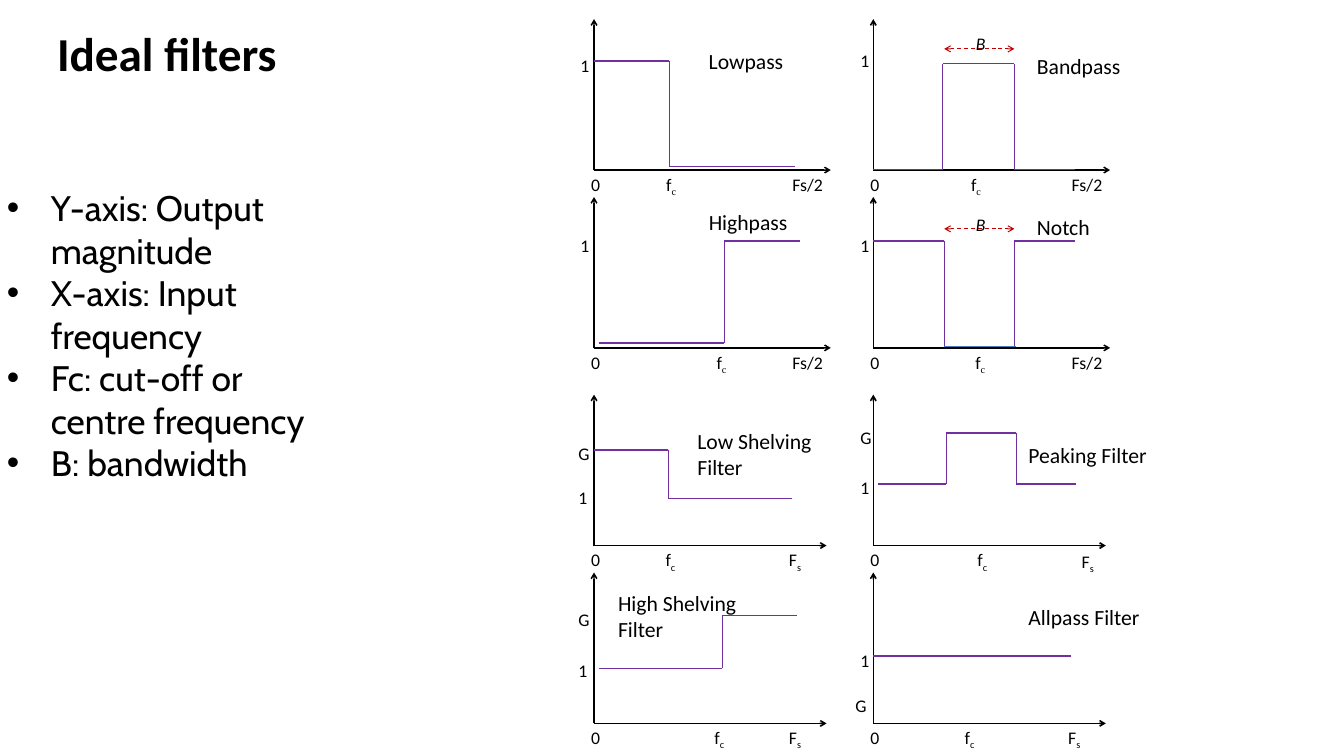
from dataclasses import dataclass

from lxml import etree
from pptx import Presentation
from pptx.dml.color import RGBColor
from pptx.enum.dml import MSO_LINE
from pptx.enum.shapes import MSO_CONNECTOR
from pptx.enum.text import MSO_ANCHOR, MSO_AUTO_SIZE, PP_ALIGN
from pptx.oxml.ns import qn
from pptx.util import Inches, Pt

STRAIGHT = MSO_CONNECTOR.STRAIGHT
DASH = MSO_LINE.DASH
MIDDLE = MSO_ANCHOR.MIDDLE
FIT = MSO_AUTO_SIZE.SHAPE_TO_FIT_TEXT
CENTER = PP_ALIGN.CENTER

COLORS = {"ink": "000000", "curve": "7030A0", "floor": "4B7EBC", "band": "C00000"}
WIDTHS = {"0": 0.33, "1": 0.33, "G": 0.36, "f": 0.35, "F": 0.38, "Fs/2": 0.64, "B": 0.34}
SANS, SERIF, BODY = "Calibri", "Times New Roman", "Cabin"
LEFT, RIGHT = 8.38, 12.32
ROWS = (2.4, 4.91, 7.7, 10.21)
RISE = 2.13
POINTS = [
    "Y-axis: Output magnitude",
    "X-axis: Input frequency",
    "Fc: cut-off or centre frequency",
    "B: bandwidth",
]

Point = tuple[float, float]


@dataclass
class Name:
    text: str
    x: float
    y: float
    width: float
    height: float = 0.47
    wrap: bool = False


@dataclass
class Plot:
    """One filter graph; levels are (text, left, top) of the marks on the y-axis."""
    x: float
    y: float
    name: Name
    curve: list[Point]
    levels: list[tuple[str, float, float]]
    cutoff: float
    end: float
    drop: float = 0
    band: float | None = None
    band_top: float = 0

    @property
    def shelf(self) -> bool:
        return self.y > ROWS[1]


PLOTS = [
    Plot(LEFT, ROWS[0], Name("Lowpass", 9.9, 0.62, 1.26),
         [(8.38, 0.86), (9.44, 0.86), (9.44, 2.35), (11.22, 2.35)],
         [("1", 8.09, 0.72)], 9.3, 11.08),
    Plot(RIGHT, ROWS[0], Name("Bandpass", 14.53, 0.69, 1.39),
         [(12.32, 2.39), (13.3, 2.39), (13.3, 0.9), (14.31, 0.9), (14.31, 2.39), (15.17, 2.39)],
         [("1", 12.04, 0.65)], 13.6, 15.02, band=0.69, band_top=0.41),
    Plot(LEFT, ROWS[1], Name("Highpass", 9.9, 2.9, 1.32),
         [(8.45, 4.84), (10.22, 4.84), (10.22, 3.4), (11.29, 3.4)],
         [("1", 8.09, 3.27)], 10.01, 11.08),
    Plot(RIGHT, ROWS[1], Name("Notch", 14.53, 2.97, 0.96),
         [(12.32, 3.4), (13.32, 3.4), (13.32, 4.89), (14.31, 4.89), (14.31, 3.4), (15.17, 3.4)],
         [("1", 12.04, 3.27)], 13.66, 15.02, band=3.23, band_top=2.97),
    Plot(LEFT, ROWS[2], Name("Low Shelving Filter", 9.74, 5.99, 1.92, 0.84, True),
         [(8.38, 6.35), (9.43, 6.35), (9.43, 7.04), (11.17, 7.04)],
         [("1", 8.06, 6.82), ("G", 8.06, 6.2)], 9.29, 11.03),
    Plot(RIGHT, ROWS[2], Name("Peaking Filter", 14.41, 6.19, 1.89),
         [(12.39, 6.83), (13.35, 6.83), (13.35, 6.11), (14.34, 6.11), (14.34, 6.83), (15.18, 6.83)],
         [("1", 12.04, 6.68), ("G", 12.04, 5.97)], 13.69, 15.16, drop=0.02),
    Plot(LEFT, ROWS[3], Name("High Shelving Filter", 8.62, 8.27, 1.99, 0.84, True),
         [(8.45, 9.43), (10.19, 9.43), (10.19, 8.69), (11.24, 8.69)],
         [("1", 8.06, 9.26), ("G", 8.06, 8.55)], 9.98, 11.03),
    Plot(RIGHT, ROWS[3], Name("Allpass Filter", 14.41, 8.47, 1.79),
         [(12.32, 9.26), (15.11, 9.26)],
         [("1", 12.04, 9.12), ("G", 11.97, 9.76)], 13.51, 14.97),
]


def add_line(slide, start: Point, stop: Point, color: str, width: float,
             ends: tuple[str, ...] = (), dashed: bool = False) -> None:
    """Draw a line with arrowheads at the given ends (headEnd, tailEnd)."""
    line = slide.shapes.add_connector(STRAIGHT, *(Inches(v) for v in start + stop))
    line.line.color.rgb = RGBColor.from_string(COLORS[color])
    line.line.width = Pt(width)
    if dashed:
        line.line.dash_style = DASH
    for end in ends:
        etree.SubElement(line.line._get_or_add_ln(), qn(f"a:{end}"), type="arrow")
    etree.SubElement(line._element.spPr, qn("a:effectLst"))


def add_box(slide, x: float, y: float, width: float, height: float, wrap: bool):
    box = slide.shapes.add_textbox(Inches(x), Inches(y), Inches(width), Inches(height))
    box.text_frame.word_wrap = wrap
    return box.text_frame


def add_run(para, text: str, size: float, face: str = SANS):
    run = para.add_run()
    run.text = text
    run.font.size = Pt(size)
    run.font.name = face
    run.font.color.rgb = RGBColor.from_string(COLORS["ink"])
    return run


def add_mark(slide, text: str, x: float, y: float, sub: str = "", face: str = SANS):
    """Write a small label, with an optional subscript, and return its main run."""
    frame = add_box(slide, x, y, WIDTHS[text], 0.4, False)
    frame.auto_size = FIT
    main = add_run(frame.paragraphs[0], text, 18)
    if sub:
        low = add_run(frame.paragraphs[0], sub, 18, face)
        low._r.get_or_add_rPr().set("baseline", "-25000")
    return main


def draw_plot(slide, plot: Plot) -> None:
    x, y = plot.x, plot.y
    span = 3.28 if plot.shelf else 3.34
    for tip in ((x + span, y), (x, y - RISE)):
        add_line(slide, (x, y), tip, "ink", 1.5, ("tailEnd",))
    for start, stop in zip(plot.curve, plot.curve[1:]):
        add_line(slide, start, stop, "curve", 1.25)

    add_mark(slide, "0", x - 0.14, y)
    add_mark(slide, "f", plot.cutoff, y, "c", SANS if plot.shelf else SERIF)
    if plot.shelf:
        add_mark(slide, "F", plot.end, y + plot.drop, "s")
    else:
        add_mark(slide, "Fs/2", plot.end, y)
    for level in plot.levels:
        add_mark(slide, *level)

    if plot.band is not None:
        add_line(slide, (13.32, plot.band), (14.31, plot.band), "band", 1,
                 ("headEnd", "tailEnd"), True)
        add_mark(slide, "B", 13.67, plot.band_top).font.italic = True

    name = plot.name
    frame = add_box(slide, name.x, name.y, name.width, name.height, name.wrap)
    frame.auto_size = FIT
    add_run(frame.paragraphs[0], name.text, 22)


def add_title(slide) -> None:
    frame = add_box(slide, 0.17, 0.03, 4.37, 1.42, True)
    frame.vertical_anchor = MIDDLE
    frame.paragraphs[0].alignment = CENTER
    add_run(frame.paragraphs[0], "Ideal filters", 48).font.bold = True


def add_list(slide) -> None:
    frame = add_box(slide, 0, 2.58, 4.41, 4.34, True)
    frame.auto_size = FIT
    for i, text in enumerate(POINTS):
        para = frame.add_paragraph() if i else frame.paragraphs[0]
        props = para._p.get_or_add_pPr()
        props.set("marL", str(Inches(0.62)))
        props.set("indent", str(-Inches(0.62)))
        etree.SubElement(props, qn("a:buFont"), typeface="Arial")
        etree.SubElement(props, qn("a:buChar"), char="•")
        add_run(para, text, 36, BODY)


def main() -> None:
    deck = Presentation()
    deck.slide_width, deck.slide_height = Inches(18.96), Inches(10.67)
    slide = deck.slides.add_slide(deck.slide_layouts[6])
    add_title(slide)
    add_list(slide)
    for plot in PLOTS:
        draw_plot(slide, plot)
    add_line(slide, (14.33, 4.89), (13.32, 4.89), "floor", 1.25)
    deck.save("out.pptx")


if __name__ == "__main__":
    main()
